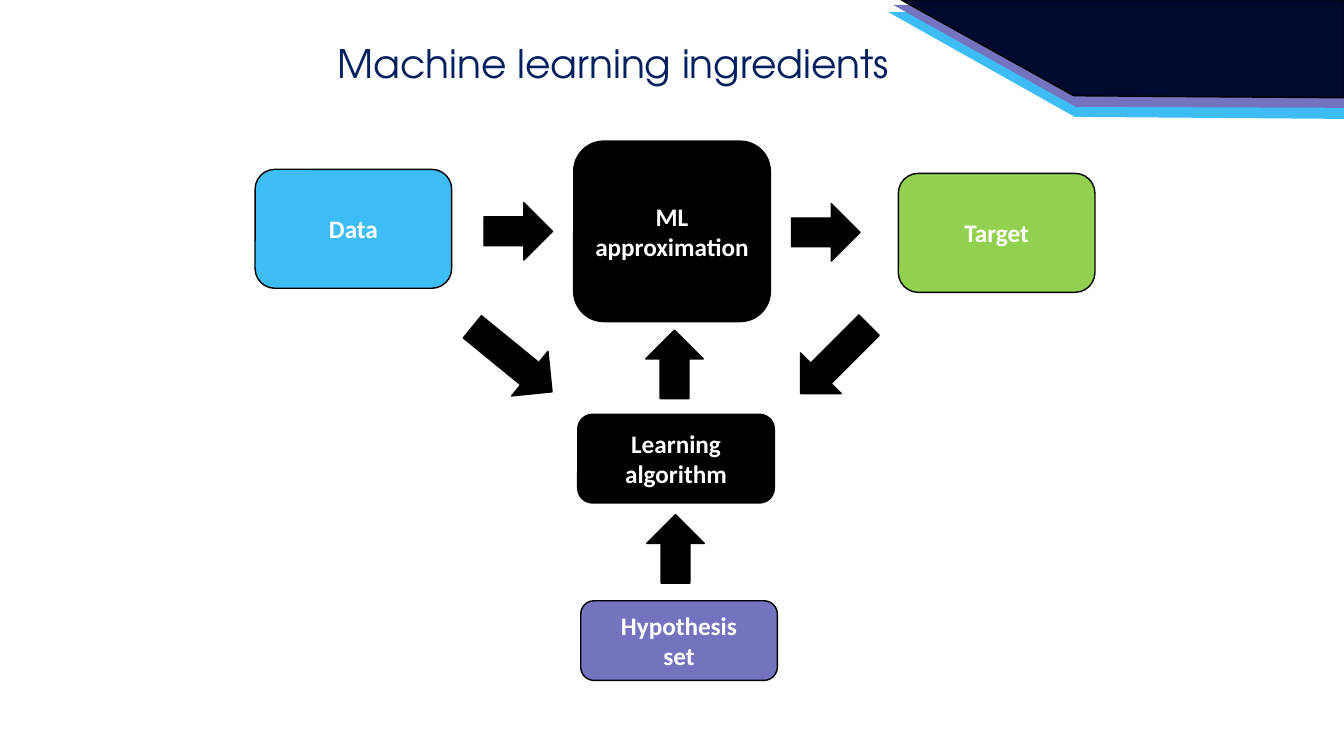
from dataclasses import dataclass

from pptx import Presentation
from pptx.dml.color import RGBColor
from pptx.enum.shapes import MSO_SHAPE
from pptx.enum.text import MSO_ANCHOR, MSO_AUTO_SIZE, PP_ALIGN
from pptx.shapes.autoshape import Shape
from pptx.slide import Slide
from pptx.text.text import TextFrame
from pptx.util import Inches, Pt

BLACK = "000000"
WHITE = "FFFFFF"
SKY = "3EBDF5"
VIOLET = "7373C0"
GREEN = "92D050"
MIDNIGHT = "000A2F"
NAVY = "002060"

BOX_WIDTH = 1.95
ARROW_HEIGHT = 0.57


@dataclass(frozen=True)
class Ribbon:
    points: tuple[tuple[float, float], ...]
    fill: str
    outline: str | None = None


@dataclass(frozen=True)
class Box:
    text: str
    left: float
    top: float
    height: float
    fill: str


@dataclass(frozen=True)
class Arrow:
    left: float
    top: float
    width: float = 0.68
    rotation: float = 0


RIBBONS = (
    Ribbon(((13.33, 1.18), (13.33, 0.12), (8.81, 0.12), (10.66, 1.16)), SKY),
    Ribbon(((13.33, 1.07), (13.33, 0.03), (8.86, 0.05), (10.67, 1.06)), VIOLET),
    Ribbon(((13.33, 0.97), (13.33, 0), (8.94, 0), (10.65, 0.95)), MIDNIGHT, BLACK),
)

BOXES = (
    Box("Data", 2.53, 1.68, 1.18, SKY),
    Box("Target", 8.91, 1.72, 1.18, GREEN),
    Box("ML approximation", 5.69, 1.4, 1.79, BLACK),
    Box("Learning algorithm", 5.73, 4.11, 0.88, BLACK),
    Box("Hypothesis\nset", 5.76, 5.96, 0.79, VIOLET),
)

ARROWS = (
    Arrow(4.8, 2.01),
    Arrow(7.85, 2.02),
    Arrow(6.36, 5.16, rotation=270),
    Arrow(6.35, 3.33, rotation=270),
    Arrow(4.57, 3.28, 1.02, 39.2),
    Arrow(7.8, 3.28, 0.96, 135),
)


def color(value: str) -> RGBColor:
    return RGBColor.from_string(value)


def paint(shape: Shape, fill: str, outline: str | None = BLACK) -> None:
    shape.shadow.inherit = False
    shape.fill.solid()
    shape.fill.fore_color.rgb = color(fill)
    if outline is None:
        shape.line.fill.background()
    else:
        shape.line.color.rgb = color(outline)
        shape.line.width = Pt(1)


def write(frame: TextFrame, text: str, font: str, size: int, ink: str, bold: bool) -> None:
    frame.text = text
    frame.word_wrap = True
    for para in frame.paragraphs:
        para.alignment = PP_ALIGN.CENTER
        for span in para.runs:
            span.font.name = font
            span.font.size = Pt(size)
            span.font.bold = bold
            span.font.color.rgb = color(ink)


def draw_ribbon(page: Slide, ribbon: Ribbon) -> None:
    points = [(Inches(x), Inches(y)) for x, y in ribbon.points]
    builder = page.shapes.build_freeform(*points[0])
    builder.add_line_segments(points[1:], close=True)
    paint(builder.convert_to_shape(), ribbon.fill, ribbon.outline)


def draw_box(page: Slide, box: Box) -> None:
    shape = page.shapes.add_shape(
        MSO_SHAPE.ROUNDED_RECTANGLE,
        Inches(box.left), Inches(box.top), Inches(BOX_WIDTH), Inches(box.height),
    )
    paint(shape, box.fill)
    write(shape.text_frame, box.text, "Calibri", 18, WHITE, True)
    shape.text_frame.vertical_anchor = MSO_ANCHOR.MIDDLE


def draw_arrow(page: Slide, arrow: Arrow) -> None:
    shape = page.shapes.add_shape(
        MSO_SHAPE.RIGHT_ARROW,
        Inches(arrow.left), Inches(arrow.top), Inches(arrow.width), Inches(ARROW_HEIGHT),
    )
    shape.rotation = arrow.rotation
    paint(shape, BLACK)


def draw_title(page: Slide, text: str) -> None:
    title = page.shapes.add_textbox(Inches(0.81), Inches(0.34), Inches(10.55), Inches(0.57))
    write(title.text_frame, text, "TeX Gyre Adventor", 28, NAVY, False)
    title.text_frame.auto_size = MSO_AUTO_SIZE.SHAPE_TO_FIT_TEXT


def main() -> None:
    deck = Presentation()
    deck.slide_width = Inches(13.33)
    deck.slide_height = Inches(7.5)
    page = deck.slides.add_slide(deck.slide_layouts[6])
    for ribbon in RIBBONS:
        draw_ribbon(page, ribbon)
    for arrow in ARROWS:
        draw_arrow(page, arrow)
    for box in BOXES:
        draw_box(page, box)
    draw_title(page, "Machine learning ingredients")
    deck.save("out.pptx")


if __name__ == "__main__":
    main()
